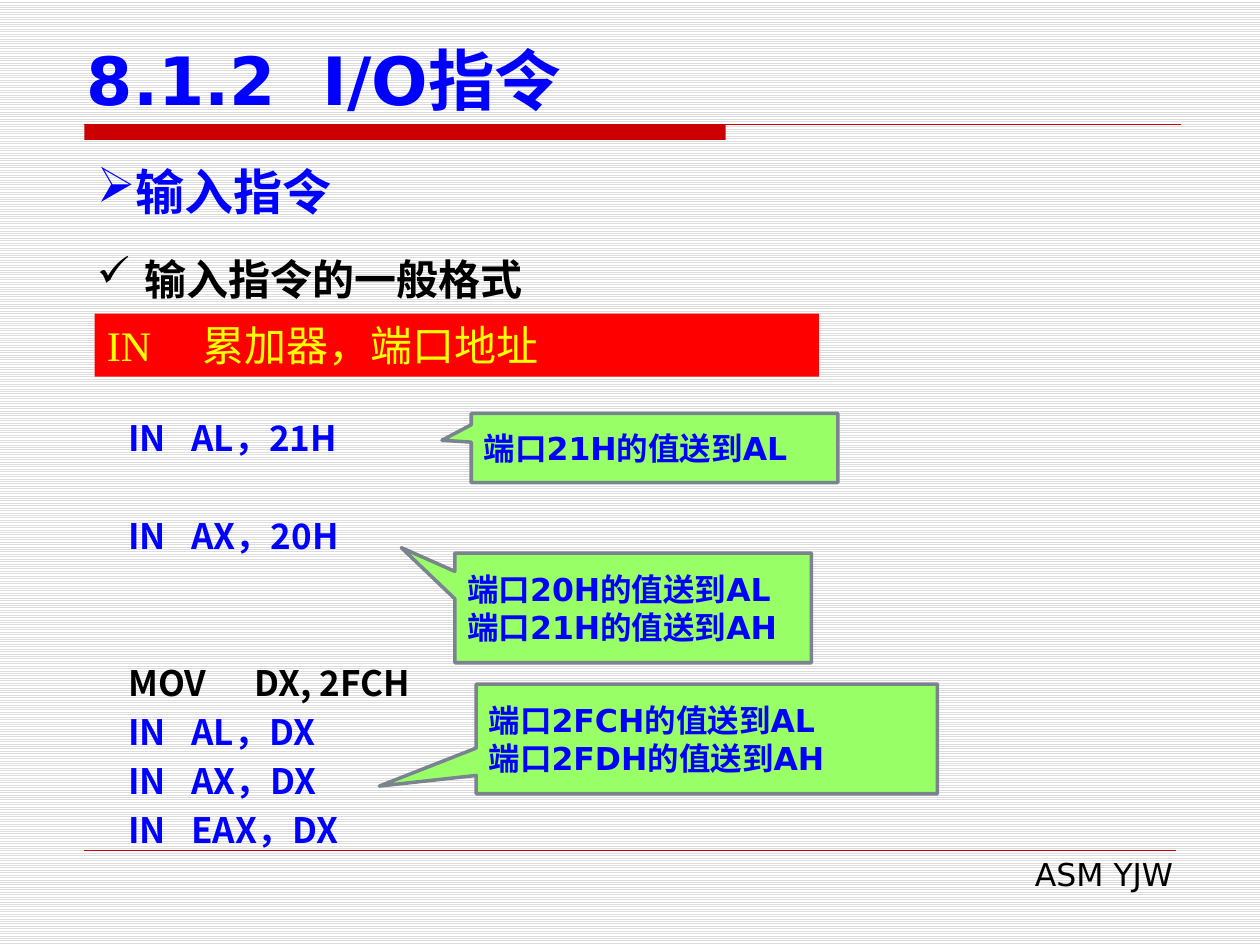
from lxml import etree
from pptx import Presentation
from pptx.dml.color import RGBColor
from pptx.enum.dml import MSO_PATTERN
from pptx.enum.shapes import MSO_CONNECTOR, MSO_SHAPE
from pptx.enum.text import MSO_ANCHOR, MSO_AUTO_SIZE, PP_ALIGN
from pptx.oxml.ns import qn
from pptx.util import Inches, Pt

BLUE = RGBColor(0x00, 0x00, 0xFF)
BLACK = RGBColor(0x00, 0x00, 0x00)
WHITE = RGBColor(0xFF, 0xFF, 0xFF)
STRIPE = RGBColor(0xDD, 0xDD, 0xDD)
DARK_RED = RGBColor(0xCC, 0x00, 0x00)
RED = RGBColor(0xFF, 0x00, 0x00)
YELLOW = RGBColor(0xFF, 0xFF, 0x00)
GREEN = RGBColor(0x99, 0xFF, 0x66)
GREY = RGBColor(0x79, 0x84, 0x8F)

SANS = "DejaVu Sans"
CJK = "Noto Sans CJK SC"
SERIF = "Times New Roman"

LEFT, RIGHT = PP_ALIGN.LEFT, PP_ALIGN.RIGHT
TOP, MIDDLE, BOTTOM = MSO_ANCHOR.TOP, MSO_ANCHOR.MIDDLE, MSO_ANCHOR.BOTTOM
NO_AUTOFIT = MSO_AUTO_SIZE.NONE
RECTANGLE = MSO_SHAPE.RECTANGLE
CALLOUT = MSO_SHAPE.RECTANGULAR_CALLOUT
STRAIGHT = MSO_CONNECTOR.STRAIGHT
LIGHT_HORIZONTAL = MSO_PATTERN.LIGHT_HORIZONTAL


class SlideBuilder:
    def __init__(self, slide):
        self.slide = slide
        self.shapes = slide.shapes

    def background(self):
        fill = self.slide.background.fill
        fill.patterned()
        fill.pattern = LIGHT_HORIZONTAL
        fill.fore_color.rgb = STRIPE
        fill.back_color.rgb = WHITE

    def set_text(self, frame, lines, size, font, color, bold=True, align=LEFT, anchor=TOP):
        frame.word_wrap = True
        frame.auto_size = NO_AUTOFIT
        frame.vertical_anchor = anchor
        frame.text = "\n".join(lines)
        for paragraph in frame.paragraphs:
            paragraph.alignment = align
            paragraph.font.size = Pt(size)
            paragraph.font.name = font
            paragraph.font.bold = bold
            paragraph.font.color.rgb = color
        return frame.paragraphs

    def insert(self, paragraph, tag):
        properties = paragraph._p.get_or_add_pPr()
        element = etree.Element(qn(tag))
        properties.find(qn("a:defRPr")).addprevious(element)
        return element

    def tab_stop(self, paragraph, position):
        stop = etree.SubElement(self.insert(paragraph, "a:tabLst"), qn("a:tab"))
        stop.set("pos", str(Inches(position)))
        stop.set("algn", "l")

    def indent(self, paragraph, margin, first=0):
        properties = paragraph._p.get_or_add_pPr()
        properties.set("marL", str(Inches(margin)))
        properties.set("indent", str(Inches(first)))

    def title(self, text, box, tab):
        title = self.shapes.title
        title.left, title.top, title.width, title.height = map(Inches, box)
        heading, = self.set_text(title.text_frame, [text], 38, SANS, BLUE, anchor=BOTTOM)
        self.tab_stop(heading, tab)

    def text(self, lines, box, size, font, color, **style):
        frame = self.shapes.add_textbox(*map(Inches, box)).text_frame
        return self.set_text(frame, lines, size, font, color, **style)

    def bullet(self, paragraph, symbol, hang=0):
        self.indent(paragraph, hang, -hang)
        self.insert(paragraph, "a:buChar").set("char", symbol)

    def block(self, kind, box, fill):
        block = self.shapes.add_shape(kind, *map(Inches, box))
        block.shadow.inherit = False
        block.fill.solid()
        block.fill.fore_color.rgb = fill
        block.line.fill.background()
        return block

    def callout(self, lines, box, pointer):
        callout = self.block(CALLOUT, box, GREEN)
        callout.line.color.rgb = GREY
        callout.line.width = Pt(2)
        for index, offset in enumerate(pointer):
            callout.adjustments[index] = offset
        self.set_text(callout.text_frame, lines, 18, SANS, BLUE, anchor=MIDDLE)

    def rule(self, left, right, y, width):
        rule = self.shapes.add_connector(
            STRAIGHT, Inches(left), Inches(y), Inches(right), Inches(y))
        rule.line.color.rgb = DARK_RED
        rule.line.width = Pt(width)
        etree.SubElement(rule._element.spPr, qn("a:effectLst"))

    def code(self, listing, box):
        lines = [line for line, *_ in listing]
        paragraphs = self.text(lines, box, 20, CJK, BLUE)
        for paragraph, (_, color, tab, blank_lines) in zip(paragraphs, listing):
            paragraph.line_spacing = Pt(28)
            paragraph.space_before = Pt(28 * blank_lines)
            paragraph.font.color.rgb = color
            self.indent(paragraph, 0.25)
            self.tab_stop(paragraph, tab)


def main():
    presentation = Presentation()
    presentation.slide_width = Inches(10)
    presentation.slide_height = Inches(7.5)
    builder = SlideBuilder(presentation.slides.add_slide(presentation.slide_layouts[5]))

    builder.background()
    builder.block(RECTANGLE, (0.67, 0.99, 5.09, 0.12), DARK_RED)
    builder.rule(0.67, 9.37, 0.99, 0.75)
    builder.rule(0.67, 9.33, 6.75, 0.25)
    builder.text(["ASM YJW"], (3.82, 6.74, 5.59, 0.4), 18, SANS, BLACK,
                 bold=False, align=RIGHT)
    builder.title("8.1.2\tI/O指令", (0.59, 0.28, 9.06, 0.71), 1.87)

    topic, = builder.text(["输入指令"], (0.67, 1.23, 8.66, 0.57), 28, SANS, BLUE)
    builder.bullet(topic, "➢")
    subtopic, = builder.text(["输入指令的一般格式"], (0.67, 1.86, 8.66, 0.54),
                             24, CJK, BLACK)
    subtopic.line_spacing = Pt(36)
    builder.bullet(subtopic, "✓", 0.38)

    syntax = builder.block(RECTANGLE, (0.75, 2.49, 5.75, 0.5), RED)
    form, = builder.set_text(syntax.text_frame, ["IN\t累加器，端口地址"],
                             24, SERIF, YELLOW, bold=False)
    builder.tab_stop(form, 0.76)

    builder.code([
        ("IN\tAL，21H", BLUE, 0.74, 0),
        ("IN\tAX，20H", BLUE, 0.74, 1),
        ("MOV\tDX, 2FCH", BLACK, 1, 2),
        ("IN\tAL，DX", BLUE, 0.74, 0),
        ("IN\tAX，DX", BLUE, 0.74, 0),
        ("IN\tEAX，DX", BLUE, 0.74, 0),
    ], (0.67, 3.2, 4.33, 3.64))

    builder.callout(["端口21H的值送到AL"], (3.74, 3.28, 2.91, 0.55), (-0.58, -0.11))
    builder.callout(["端口20H的值送到AL", "端口21H的值送到AH"],
                    (3.61, 4.39, 2.83, 0.87), (-0.65, -0.55))
    builder.callout(["端口2FCH的值送到AL", "端口2FDH的值送到AH"],
                    (3.78, 5.43, 3.66, 0.87), (-0.71, 0.43))

    presentation.save("out.pptx")


if __name__ == "__main__":
    main()
